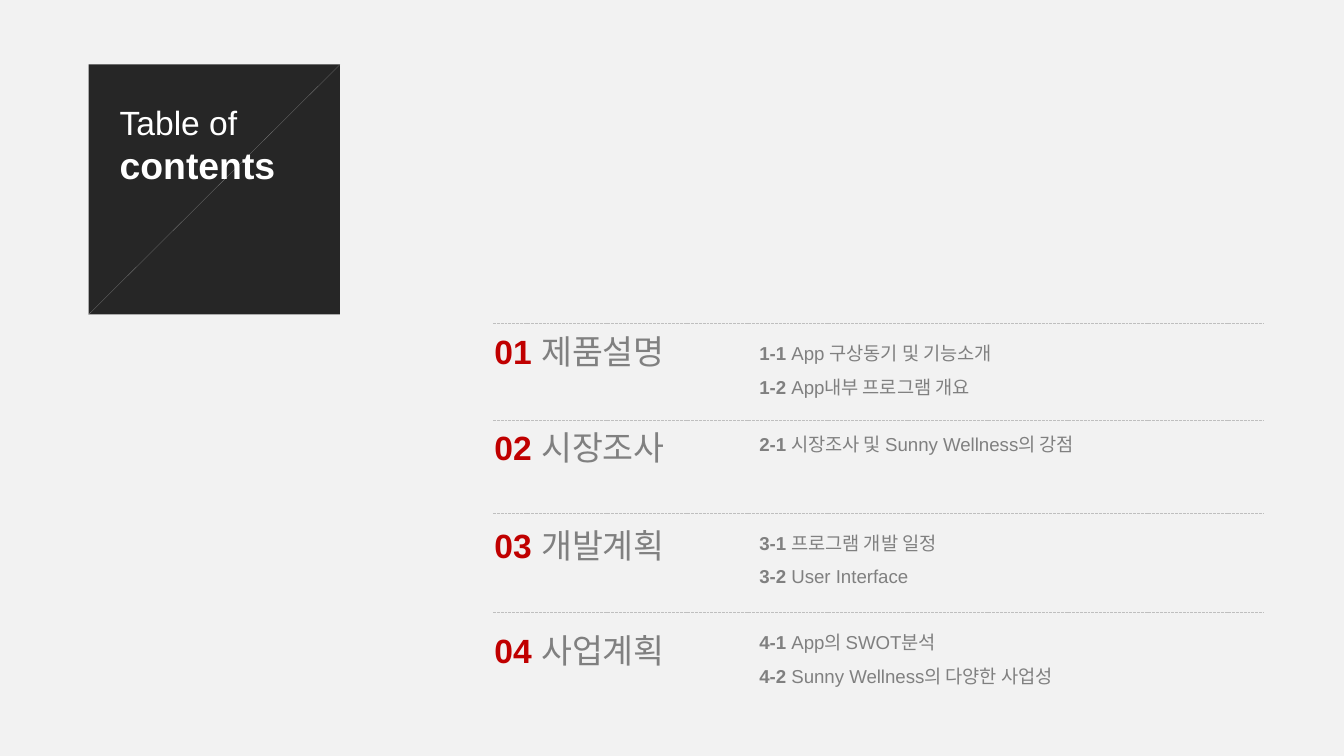
from dataclasses import dataclass

from lxml import etree
from pptx import Presentation
from pptx.dml.color import RGBColor
from pptx.enum import dml, shapes, text
from pptx.oxml import ns
from pptx.util import Inches, Pt


@dataclass(frozen=True)
class Theme:
    font: str = "Arial"
    background: str = "F2F2F2"
    card: str = "262626"
    title: str = "FFFFFF"
    number: str = "C00000"
    body: str = "808080"
    rule: str = "BFBFBF"
    heading_size: int = 18
    emphasis_size: int = 20
    detail_size: int = 10


THEME = Theme()
RULE_LEFT, RULE_RIGHT = 3.67, 9.4
HEADING_LEFT, DETAIL_LEFT = 3.58, 5.55


@dataclass(frozen=True)
class Section:
    heading: str
    details: list
    rule_top: float
    heading_top: float
    detail_top: float


SECTIONS = [
    Section("제품설명", [("1-1 ", "App 구상동기 및 기능소개"),
                     ("1-2 ", "App내부 프로그램 개요")], 2.41, 2.41, 2.41),
    Section("시장조사", [("2-1 ", "시장조사 및 Sunny Wellness의 강점")], 3.13, 3.13, 3.09),
    Section("개발계획", [("3-1 ", "프로그램 개발 일정"),
                     ("3-2", " User Interface")], 3.82, 3.86, 3.82),
    Section("사업계획", [("4-1 ", "App의 SWOT분석"),
                     ("4-2 ", "Sunny Wellness의 다양한 사업성")], 4.56, 4.64, 4.56),
]


def color(value):
    return RGBColor.from_string(value)


def add_run(paragraph, content, size, run_color, bold=False):
    run = paragraph.add_run()
    run.text = content
    run.font.name = THEME.font
    run.font.size = Pt(size)
    run.font.bold = bold
    run.font.color.rgb = color(run_color)


def place(shape, left, top, width, height):
    shape.left, shape.top = Inches(left), Inches(top)
    shape.width, shape.height = Inches(width), Inches(height)


def prepare_frame(shape):
    """Wrap the text at a fixed size, from the top of the shape."""
    frame = shape.text_frame
    frame.word_wrap = True
    frame.auto_size = text.MSO_AUTO_SIZE.NONE
    frame.vertical_anchor = text.MSO_ANCHOR.TOP
    return frame


def add_line(container, start, end, line_color, width, dash=None):
    points = [Inches(value) for value in (*start, *end)]
    line = container.add_connector(shapes.MSO_CONNECTOR.STRAIGHT, *points)
    line.line.color.rgb = color(line_color)
    line.line.width = Pt(width)
    if dash:
        line.line.dash_style = dash
    etree.SubElement(line._element.spPr, ns.qn("a:effectLst"))


def add_card(slide):
    left, top, right, bottom = 0.66, 0.48, 2.53, 2.34
    group = slide.shapes.add_group_shape()
    card = group.shapes.add_shape(shapes.MSO_SHAPE.RECTANGLE, 0, 0, 0, 0)
    place(card, left, top, right - left, bottom - top)
    card.shadow.inherit = False
    card.fill.solid()
    card.fill.fore_color.rgb = color(THEME.card)
    card.line.fill.background()
    add_line(group.shapes, (left, bottom), (right, top), THEME.body, 0.1)


def fill_title(slide):
    title = slide.shapes.title
    place(title, 0.79, 0.71, 1.6, 0.94)
    paragraph = prepare_frame(title).paragraphs[0]
    paragraph.alignment = text.PP_ALIGN.LEFT
    add_run(paragraph, "Table of ", THEME.heading_size, THEME.title)
    paragraph.add_line_break()
    add_run(paragraph, "contents", THEME.emphasis_size, THEME.title, bold=True)
    slide.shapes._spTree.append(title._element)  # in front of the card


def add_heading(slide, number, section):
    box = slide.shapes.add_textbox(0, 0, 0, 0)
    place(box, HEADING_LEFT, section.heading_top, 1.55, 0.4)
    paragraph = prepare_frame(box).paragraphs[0]
    add_run(paragraph, f"{number:02d} ", THEME.heading_size, THEME.number, bold=True)
    add_run(paragraph, section.heading, THEME.heading_size, THEME.body)


def fill_details(placeholder, section):
    place(placeholder, DETAIL_LEFT, section.detail_top, 3.02, 0.6)
    frame = prepare_frame(placeholder)
    for index, (label, content) in enumerate(section.details):
        paragraph = frame.add_paragraph() if index else frame.paragraphs[0]
        paragraph.line_spacing = 1.5
        paragraph.space_before = Pt(0)
        properties = paragraph._p.get_or_add_pPr()
        properties.set("marL", "0")
        properties.set("indent", "0")
        etree.SubElement(properties, ns.qn("a:buNone"))
        add_run(paragraph, label, THEME.detail_size, THEME.body, bold=True)
        add_run(paragraph, content, THEME.detail_size, THEME.body)


def main():
    presentation = Presentation()
    presentation.slide_width = Inches(10)
    presentation.slide_height = presentation.slide_width * 9 // 16
    comparison = presentation.slide_layouts.get_by_name("Comparison")
    slide = presentation.slides.add_slide(comparison)
    slide.background.fill.solid()
    slide.background.fill.fore_color.rgb = color(THEME.background)

    add_card(slide)
    fill_title(slide)
    bodies = list(slide.placeholders)
    bodies = [body for body in bodies if body.placeholder_format.idx > 0]
    for number, (section, body) in enumerate(zip(SECTIONS, bodies), 1):
        add_line(slide.shapes, (RULE_LEFT, section.rule_top),
                 (RULE_RIGHT, section.rule_top), THEME.rule, 0.5,
                 dml.MSO_LINE.SQUARE_DOT)
        add_heading(slide, number, section)
        fill_details(body, section)
    presentation.save("out.pptx")


if __name__ == "__main__":
    main()
